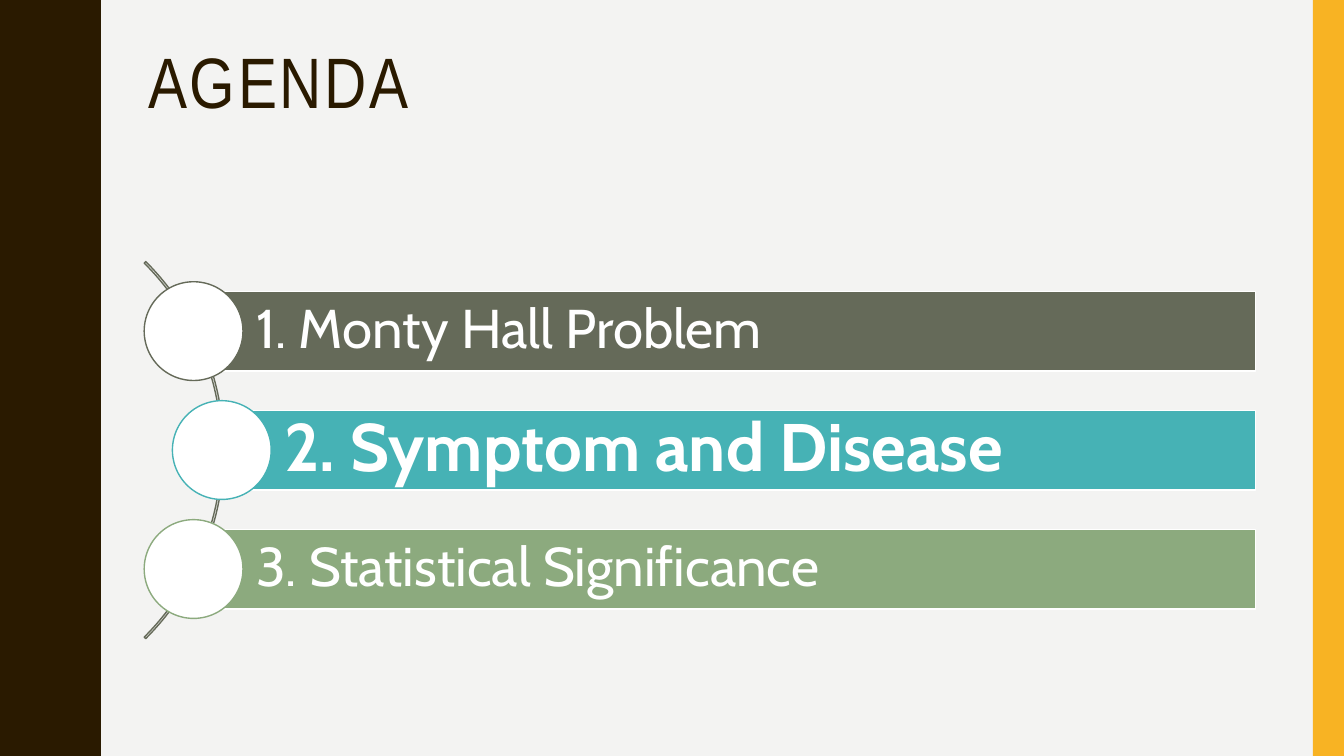
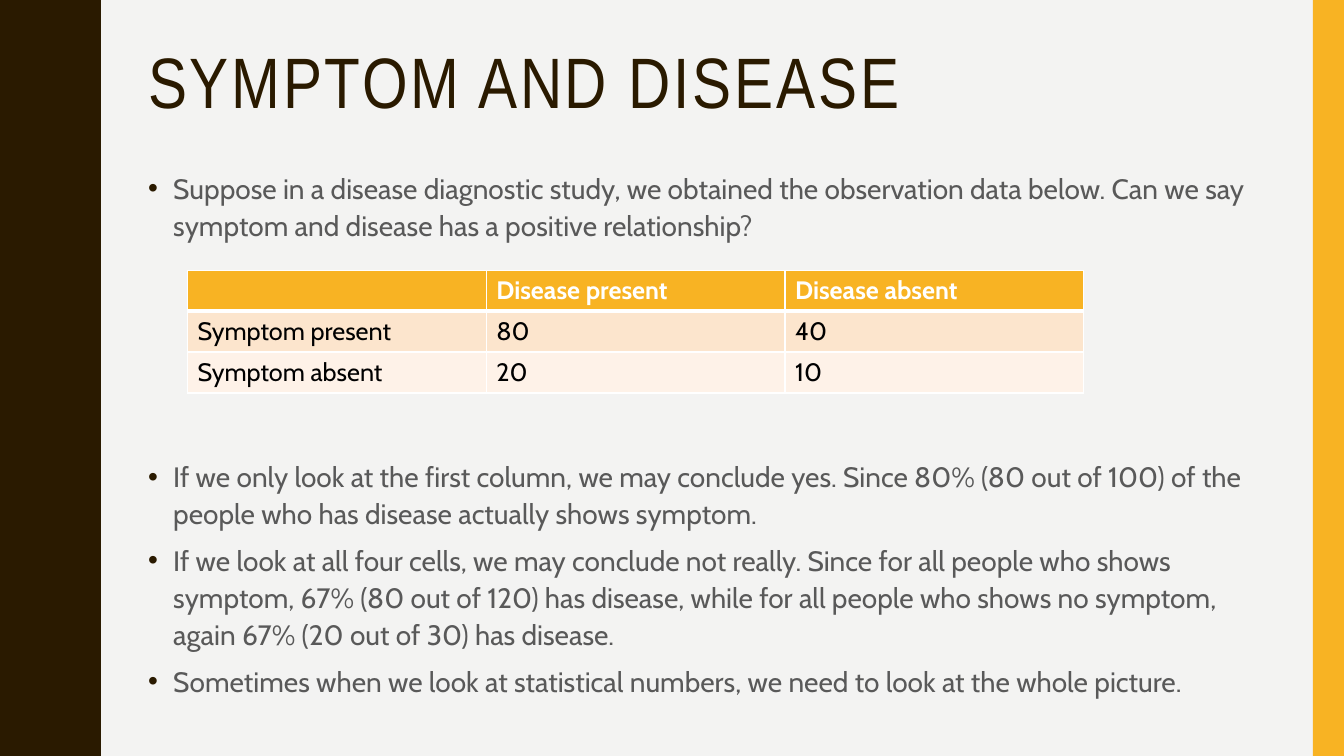
from lxml import etree
from pptx import Presentation
from pptx.dml.color import RGBColor
from pptx.enum.shapes import MSO_SHAPE
from pptx.enum.text import MSO_ANCHOR, PP_ALIGN
from pptx.oxml import parse_xml
from pptx.oxml.ns import nsdecls, qn
from pptx.util import Inches, Pt

PAPER = RGBColor(0xF3, 0xF3, 0xF2)
BROWN = RGBColor(0x2A, 0x1A, 0x00)
AMBER = RGBColor(0xF8, 0xB3, 0x23)
OLIVE = RGBColor(0x65, 0x6A, 0x59)
TEAL = RGBColor(0x46, 0xB2, 0xB5)
GREEN = RGBColor(0x8C, 0xAA, 0x7E)
GRAY = RGBColor(0x59, 0x59, 0x59)
PEACH = RGBColor(0xFC, 0xE5, 0xCD)
CREAM = RGBColor(0xFE, 0xF2, 0xE8)
WHITE = RGBColor(0xFF, 0xFF, 0xFF)
BLACK = RGBColor(0x00, 0x00, 0x00)

HEAD_FONT = "Arial Narrow"
BODY_FONT = "Cabin"
WIDTH, HEIGHT = 13.33, 7.5
LEFT, TEXT_WIDTH = 1.37, 11.13
WAVE_PERIOD = 1.5
HALF_WAVE = [
    (0.78, 0), (0.78, 0.07), (0.79, 0.14), (0.8, 0.2), (0.81, 0.25),
    (0.83, 0.29), (0.85, 0.33), (0.87, 0.38), (0.89, 0.42), (0.91, 0.46),
    (0.93, 0.5), (0.95, 0.55), (0.96, 0.61), (0.97, 0.68), (0.97, 0.75),
]


def box(*lengths):
    return [Inches(length) for length in lengths]


class Deck:
    def __init__(self):
        self.prs = Presentation()
        self.prs.slide_width, self.prs.slide_height = box(WIDTH, HEIGHT)
        self.slide = None

    def new_slide(self, title):
        self.slide = self.prs.slides.add_slide(self.prs.slide_layouts[6])
        fill = self.slide.background.fill
        fill.solid()
        fill.fore_color.rgb = PAPER
        self.wave()
        self.shape(MSO_SHAPE.RECTANGLE, 13.02, 0, 0.31, HEIGHT, fill=AMBER)
        tf = self.text_box(LEFT, 0.42, TEXT_WIDTH, 1.63)
        p = tf.paragraphs[0]
        p.line_spacing = 0.9
        r = self.run(p, title, name=HEAD_FONT, size=Pt(51), color=BROWN)
        r.font._element.set("spc", "200")

    def wave(self):
        period = HALF_WAVE + [(x, WAVE_PERIOD - y) for x, y in HALF_WAVE[-2::-1]]
        edge = [(x, y + i * WAVE_PERIOD)
                for i in range(round(HEIGHT / WAVE_PERIOD)) for x, y in period]
        builder = self.slide.shapes.build_freeform(0, 0, scale=Inches(1))
        builder.add_line_segments(edge + [(0, HEIGHT)], close=True)
        self.paint(builder.convert_to_shape(), BROWN, None)

    def paint(self, sp, fill, line):
        sp.shadow.inherit = False
        if fill is None:
            sp.fill.background()
        else:
            sp.fill.solid()
            sp.fill.fore_color.rgb = fill
        if line is None:
            sp.line.fill.background()
        else:
            sp.line.color.rgb = line
            sp.line.width = Pt(1)

    def shape(self, kind, x, y, w, h, fill=None, line=None):
        sp = self.slide.shapes.add_shape(kind, *box(x, y, w, h))
        self.paint(sp, fill, line)
        return sp

    def text_box(self, x, y, w, h):
        tf = self.slide.shapes.add_textbox(*box(x, y, w, h)).text_frame
        tf.word_wrap = True
        return tf

    def run(self, p, text, color, **formats):
        r = p.add_run()
        r.text = text
        for key, value in {"name": BODY_FONT, **formats}.items():
            setattr(r.font, key, value)
        r.font.color.rgb = color
        return r

    def arc(self, x, y, size):
        sp = self.shape(MSO_SHAPE.BLOCK_ARC, x, y, size, size, line=OLIVE)
        for i, value in enumerate((189, 27, 0.004)):
            sp.adjustments[i] = value

    def agenda_item(self, text, x, y, color, size, inset, bold=False):
        right, height, diameter = 12.45, 0.79, 0.98
        sp = self.shape(MSO_SHAPE.RECTANGLE, x, y, right - x, height, color, WHITE)
        tf = sp.text_frame
        formats = {
            "word_wrap": True, "vertical_anchor": MSO_ANCHOR.MIDDLE,
            "margin_left": Inches(0.62), "margin_right": Inches(inset),
            "margin_top": Inches(inset), "margin_bottom": Inches(inset),
        }
        for key, value in formats.items():
            setattr(tf, key, value)
        p = tf.paragraphs[0]
        p.alignment = PP_ALIGN.LEFT
        p.line_spacing = 0.9
        self.run(p, text, WHITE, size=Pt(size), bold=bold)
        self.shape(MSO_SHAPE.OVAL, x - diameter / 2, y + (height - diameter) / 2,
                   diameter, diameter, WHITE, color)

    def bullets(self, y, h, texts):
        tf = self.text_box(LEFT, y, TEXT_WIDTH, h)
        for i, text in enumerate(texts):
            p = tf.add_paragraph() if i else tf.paragraphs[0]
            p.line_spacing = 1.1
            p.space_before = Pt(7 if i else 0)
            pPr = p._p.get_or_add_pPr()
            pPr.set("marL", str(Inches(0.25)))
            pPr.set("indent", str(-Inches(0.25)))
            color = etree.SubElement(pPr, qn("a:buClr"))
            etree.SubElement(color, qn("a:srgbClr")).set("val", str(BROWN))
            etree.SubElement(pPr, qn("a:buFont")).set("typeface", "Arial")
            etree.SubElement(pPr, qn("a:buChar")).set("char", "•")
            self.run(p, text, GRAY, size=Pt(20))

    def cell_border(self, cell, side, width):
        cell._tc.get_or_add_tcPr().append(parse_xml(
            f'<a:ln{side} {nsdecls("a")} w="{Pt(width)}"><a:solidFill>'
            f'<a:srgbClr val="{WHITE}"/></a:solidFill></a:ln{side}>'))

    def table(self, x, y, w, h, rows):
        frame = self.slide.shapes.add_table(len(rows), len(rows[0]), *box(x, y, w, h))
        table = frame.table
        table.horz_banding = False
        fills = (AMBER, PEACH, CREAM)
        for i, row in enumerate(rows):
            for j, text in enumerate(row):
                cell = table.cell(i, j)
                heavy = {"B": i == 0, "T": i == 1}
                for side in "LRTB":
                    self.cell_border(cell, side, 3 if heavy.get(side) else 1)
                cell.fill.solid()
                cell.fill.fore_color.rgb = fills[i]
                if text:
                    self.run(cell.text_frame.paragraphs[0], text,
                             BLACK if i else WHITE, size=Pt(18), bold=i == 0)


def main():
    deck = Deck()

    deck.new_slide("AGENDA")
    deck.arc(-3.07, 1.82, 5.29)
    items = [
        ("1. Monty Hall Problem", 1.92, OLIVE, 39, 0.11, False),
        ("2. Symptom and Disease", 2.2, TEAL, 48, 0.13, True),
        ("3. Statistical Significance", 1.92, GREEN, 39, 0.11, False),
    ]
    for i, (text, x, *style) in enumerate(items):
        deck.agenda_item(text, x, 2.89 + 1.18 * i, *style)

    deck.new_slide("SYMPTOM AND DISEASE")
    deck.bullets(1.62, 0.86, [
        "Suppose in a disease diagnostic study, we obtained the observation data "
        "below. Can we say symptom and disease has a positive relationship?",
    ])
    deck.table(1.86, 2.68, 8.89, 1.22, [
        ("", "Disease present", "Disease absent"),
        ("Symptom present", "80", "40"),
        ("Symptom absent", "20", "10"),
    ])
    deck.bullets(4.48, 2.81, [
        "If we only look at the first column, we may conclude yes. Since 80% "
        "(80 out of 100) of the people who has disease actually shows symptom.",
        "If we look at all four cells, we may conclude not really. Since for all "
        "people who shows symptom, 67% (80 out of 120) has disease, while for all "
        "people who shows no symptom, again 67% (20 out of 30) has disease.",
        "Sometimes when we look at statistical numbers, we need to look at the "
        "whole picture.",
    ])

    deck.prs.save("out.pptx")


if __name__ == "__main__":
    main()
